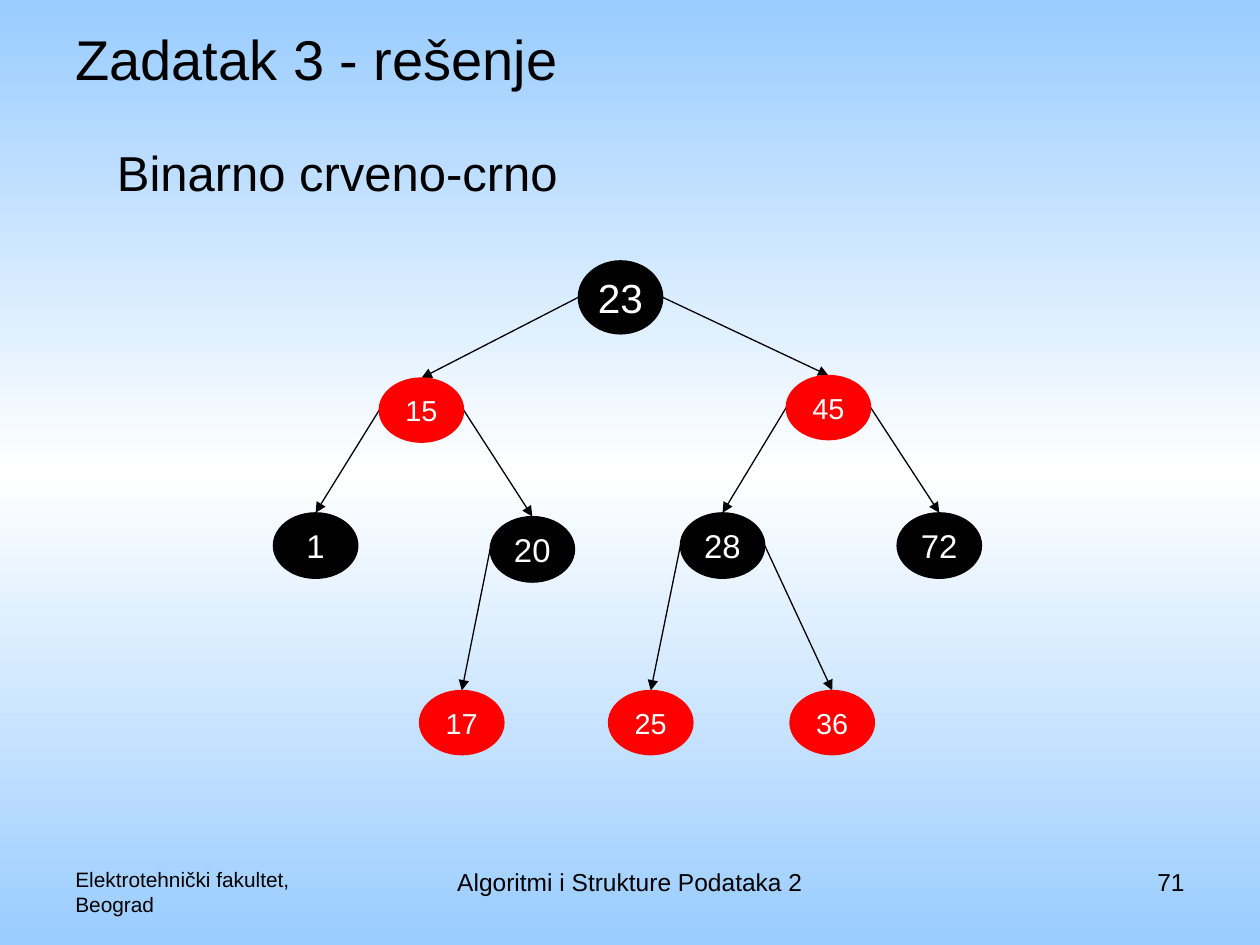
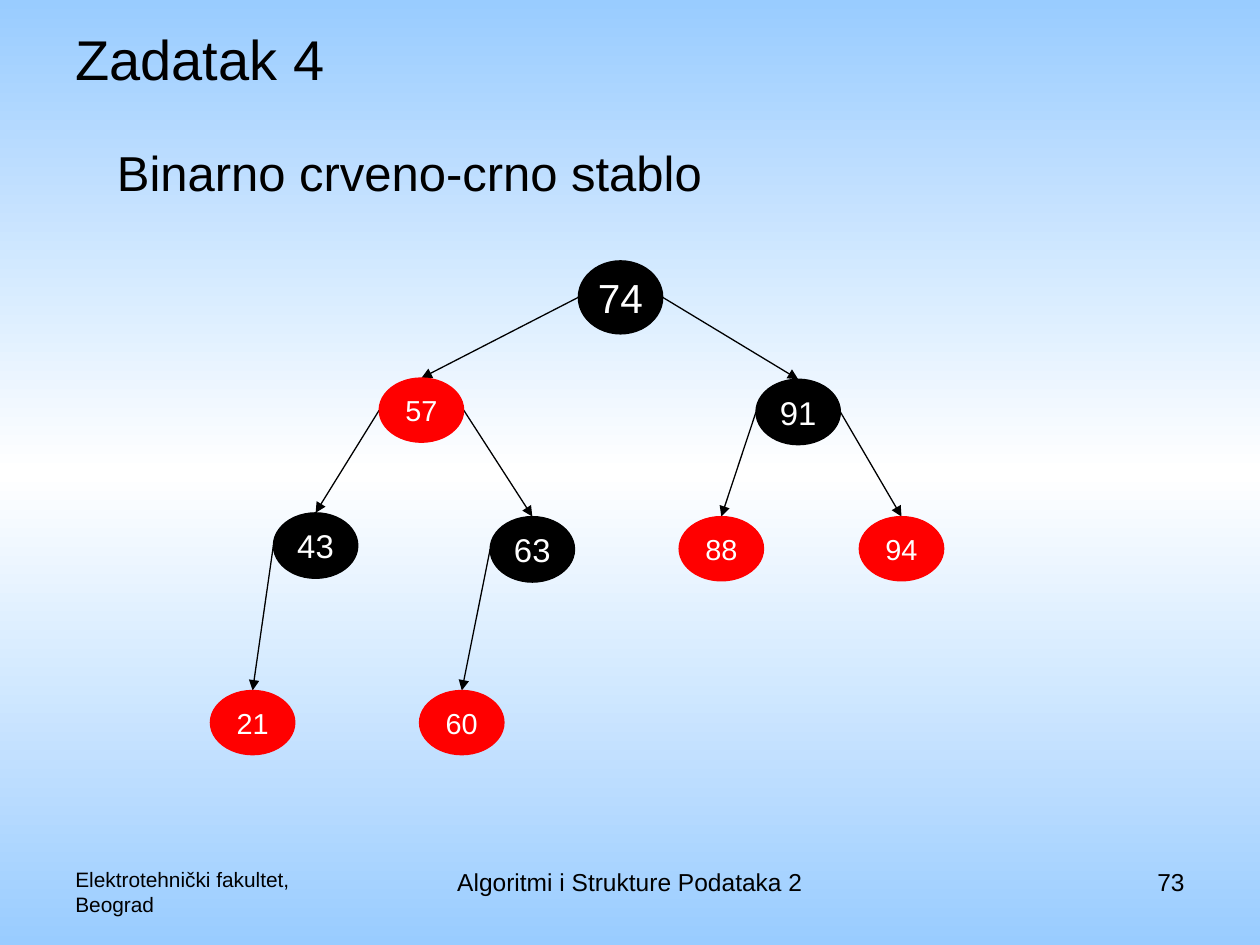
from copy import deepcopy
from dataclasses import dataclass

from pptx import Presentation
from pptx.dml.color import RGBColor
from pptx.enum.shapes import MSO_CONNECTOR, MSO_SHAPE
from pptx.enum.text import MSO_ANCHOR, PP_ALIGN
from pptx.oxml.ns import qn
from pptx.util import Inches, Pt
from lxml import etree

LEFT, CENTER, RIGHT = PP_ALIGN.LEFT, PP_ALIGN.CENTER, PP_ALIGN.RIGHT
TOP, MIDDLE = MSO_ANCHOR.TOP, MSO_ANCHOR.MIDDLE
OVAL, STRAIGHT = MSO_SHAPE.OVAL, MSO_CONNECTOR.STRAIGHT


@dataclass(frozen=True)
class Theme:
    font: str = "Arial"
    sky: RGBColor = RGBColor(0x99, 0xCC, 0xFF)
    white: RGBColor = RGBColor(255, 255, 255)
    black: RGBColor = RGBColor(0, 0, 0)
    red: RGBColor = RGBColor(255, 0, 0)
    title: float = 32
    body: float = 28
    foot: float = 14
    school: float = 11.9
    line: float = 0.75


THEME = Theme()

# Kind of node: colour, height, type size
KINDS = {
    "root": (THEME.black, 0.58, 23.2),
    "black": (THEME.black, 0.52, 18.8),
    "red": (THEME.red, 0.51, 16.5),
}
NODE_W = 0.67
TREE_BOX = (1.67, 2.07)
FOOT_BOX = (0.5, 6.83, 9, 0.52)

# Node: value, kind, left and top within the tree box, value of parent
TASK3 = [
    (23, "root", 2.92, 0, None),
    (15, "red", 1.34, 0.93, 23),
    (45, "red", 4.57, 0.91, 23),
    (1, "black", 0.5, 2, 15),
    (20, "black", 2.22, 2.03, 15),
    (28, "black", 3.73, 2, 45),
    (72, "black", 5.45, 2, 45),
    (17, "red", 1.66, 3.41, 20),
    (25, "red", 3.16, 3.41, 28),
    (36, "red", 4.6, 3.41, 28),
]
TASK4 = [
    (74, "root", 2.92, 0, None),
    (57, "red", 1.34, 0.93, 74),
    (91, "black", 4.33, 0.94, 74),
    (43, "black", 0.5, 2, 57),
    (63, "black", 2.22, 2.03, 57),
    (88, "red", 3.72, 2.03, 91),
    (94, "red", 5.15, 2.03, 91),
    (21, "red", 0, 3.41, 43),
    (60, "red", 1.66, 3.41, 63),
]


def write(frame, text, *, size, color=THEME.black, align=LEFT, anchor=TOP,
          wrap=True):
    """Fill a text frame, one paragraph per line of text."""
    frame.word_wrap = wrap
    frame.vertical_anchor = anchor
    frame.text = text
    for para in frame.paragraphs:
        para.alignment = align
        para.font.name = THEME.font
        para.font.size = Pt(size)
        para.font.color.rgb = color


def label(slide, box, text, **style):
    area = slide.shapes.add_textbox(*map(Inches, box))
    write(area.text_frame, text, **style)


def paint(slide):
    """Set the vertical sky, white, sky background."""
    fill = slide.background.fill
    fill.gradient()
    fill.gradient_angle = 90
    stops = slide.element.find(".//" + qn("a:gsLst"))
    stops.append(deepcopy(stops[-1]))
    colors = (THEME.sky, THEME.white, THEME.sky)
    for stop, place, color in zip(fill.gradient_stops, (0, 0.5, 1), colors):
        stop.position = place
        stop.color.rgb = color


def footer(slide, box, number):
    left, top, width, height = box
    side, mid = 2.33, 3.17
    label(slide, (left, top, side, height),
          "Elektrotehnički fakultet,\nBeograd", size=THEME.school)
    label(slide, (left + (width - mid) / 2, top, mid, height),
          "Algoritmi i Strukture Podataka 2", size=THEME.foot, align=CENTER)
    label(slide, (left + width - side, top, side, height),
          str(number), size=THEME.foot, align=RIGHT)


def arrow(slide, start, end):
    link = slide.shapes.add_connector(
        STRAIGHT, *map(Inches, (*start, *end)))
    link.line.color.rgb = THEME.black
    link.line.width = Pt(THEME.line)
    etree.SubElement(link.line._get_or_add_ln(), qn("a:tailEnd"),
                     type="triangle")
    etree.SubElement(link._element.spPr, qn("a:effectLst"))


def node(slide, left, top, value, kind):
    color, height, size = KINDS[kind]
    oval = slide.shapes.add_shape(
        OVAL, *map(Inches, (left, top, NODE_W, height)))
    oval.shadow.inherit = False
    oval.fill.solid()
    oval.fill.fore_color.rgb = color
    oval.line.color.rgb = color
    oval.line.width = Pt(THEME.line)
    write(oval.text_frame, str(value), size=size, color=THEME.white,
          align=CENTER, anchor=MIDDLE, wrap=False)


def tree(slide, box, nodes):
    """Draw arrows from each parent's near side to the child's top."""
    spots = {value: (box[0] + x, box[1] + y, kind)
             for value, kind, x, y, _ in nodes}
    for value, _, _, _, parent in nodes:
        if parent is None:
            continue
        left, top, _ = spots[value]
        from_x, from_y, kind = spots[parent]
        if left > from_x:
            from_x += NODE_W
        arrow(slide, (from_x, from_y + KINDS[kind][1] / 2),
              (left + NODE_W / 2, top))
    for value, (left, top, kind) in spots.items():
        node(slide, left, top, value, kind)


def page(deck, title, body, nodes, number):
    slide = deck.slides.add_slide(deck.slide_layouts[6])
    paint(slide)
    label(slide, (0.5, 0.17, 9, 0.58), title, size=THEME.title,
          anchor=MIDDLE)
    label(slide, (0.83, 1.08, 5.42, 0.75), body, size=THEME.body)
    tree(slide, TREE_BOX, nodes)
    footer(slide, FOOT_BOX, number)


def main():
    deck = Presentation()
    deck.slide_width, deck.slide_height = Inches(10), Inches(7.5)
    page(deck, "Zadatak 3 - rešenje", "Binarno crveno-crno", TASK3, 71)
    page(deck, "Zadatak 4", "Binarno crveno-crno stablo", TASK4, 73)
    deck.save("out.pptx")


if __name__ == "__main__":
    main()
